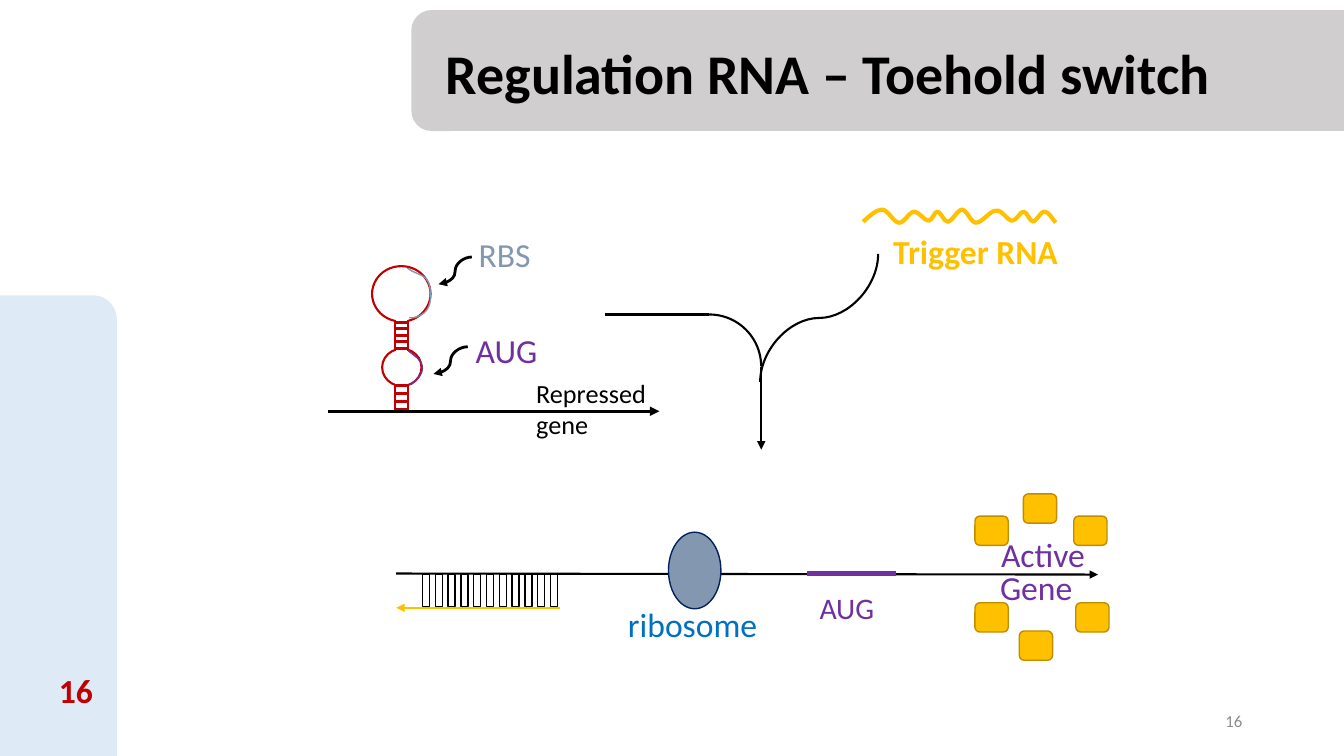
from lxml.etree import SubElement
from pptx import Presentation
from pptx.dml.color import RGBColor
from pptx.enum.shapes import MSO_CONNECTOR, MSO_SHAPE
from pptx.enum.text import MSO_ANCHOR, MSO_AUTO_SIZE, PP_ALIGN
from pptx.oxml.ns import qn
from pptx.util import Inches, Pt

COLORS = {
    "black": "000000", "white": "FFFFFF", "header": "D0CECE", "sidebar": "DEEBF7",
    "red": "C00000", "purple": "7030A0", "gold": "FFC000", "gold_edge": "BD8E00",
    "slate": "8497B0", "navy": "002060", "blue": "0070C0", "gray": "8C8C8C",
}
TITLE = "Regulation RNA – Toehold switch"
PAGE_NUMBER = "16"

# text, (left, top, width, height), format
LABELS = [
    ("Repressed\ngene", (5.22, 3.69, 1.83, 0.73), dict(size=18.7)),
    ("Trigger RNA", (8.76, 2.24, 1.85, 0.5), dict(color="gold", bold=True, wrap=False)),
    ("Active", (9.83, 5.25, 1.05, 0.5), dict(color="purple", wrap=False)),
    ("Gene", (9.82, 5.57, 1.03, 0.91), dict(color="purple")),
    ("ribosome", (6.13, 5.94, 1.65, 0.5), dict(color="blue")),
    ("AUG", (4.62, 3.22, 1.41, 0.5), dict(color="purple")),
    ("RBS", (4.65, 2.27, 1.5, 0.5), dict(color="slate")),
    ("AUG", (8.03, 5.8, 2.11, 0.46), dict(color="purple", size=21.3)),
]
HAIRPIN_LOOPS = [(3.69, 2.64, 0.58, 0.55), (3.79, 3.46, 0.39, 0.37)]
STEM_LEFT, STEM_WIDTH = 3.92, 0.13
STEM_TOPS = [3.17, 3.81]
STEM_LENGTH = 0.31
RUNGS = [(3.19, 0.065, 5), (3.82, 0.08, 4)]  # first top, step, count
PROTEINS = [(10.15, 4.9), (10.65, 5.12), (9.67, 5.12),
            (9.67, 5.98), (10.67, 5.98), (10.11, 6.26)]
COMB_LEFT, COMB_STEP, COMB_TEETH = 4.19, 0.127, 11
LABEL_POINTERS = [((4.68, 2.55), (4.35, 2.82)), ((4.64, 3.44), (4.3, 3.71))]

# Cubic chains: a start point, then two controls and an end point per piece
TRIGGER_WAVE = [
    (8.56, 2.2), (8.63, 2.14), (8.69, 2.08), (8.75, 2.08),
    (8.81, 2.08), (8.86, 2.21), (8.92, 2.21), (8.97, 2.21), (9.02, 2.1), (9.07, 2.1),
    (9.11, 2.1), (9.17, 2.19), (9.21, 2.19), (9.25, 2.19), (9.27, 2.09), (9.3, 2.1),
    (9.33, 2.1), (9.36, 2.2), (9.4, 2.2), (9.44, 2.2), (9.5, 2.08), (9.54, 2.08),
    (9.59, 2.08), (9.63, 2.21), (9.68, 2.21), (9.74, 2.21), (9.82, 2.09), (9.88, 2.09),
    (9.94, 2.08), (9.99, 2.19), (10.04, 2.19), (10.08, 2.19), (10.12, 2.1), (10.15, 2.1),
    (10.19, 2.1), (10.21, 2.2), (10.25, 2.2), (10.28, 2.19), (10.33, 2.09), (10.36, 2.1),
    (10.4, 2.1), (10.43, 2.16), (10.47, 2.21),
]
AUG_ON_LOOP = [(4.05, 3.48), (4.12, 3.54), (4.19, 3.57), (4.19, 3.66),
               (4.18, 3.76), (4.06, 3.82), (4.06, 3.82)]
RBS_ON_LOOP = [(4.04, 2.66), (4.16, 2.75), (4.27, 2.7), (4.27, 2.93),
               (4.28, 3.16), (4.06, 3.16), (4.06, 3.15)]

prs = Presentation()
prs.slide_width, prs.slide_height = Inches(13.33), Inches(7.5)
slide = prs.slides.add_slide(prs.slide_layouts[5])


def rgb(name):
    return RGBColor.from_string(COLORS[name])


def place(shape, box):
    shape.left, shape.top, shape.width, shape.height = map(Inches, box)


def write(holder, text, size=24, color="black", bold=False, wrap=True,
          align=PP_ALIGN.LEFT, anchor=MSO_ANCHOR.TOP):
    frame = holder.text_frame
    frame.text = text
    frame.word_wrap = wrap
    frame.auto_size = MSO_AUTO_SIZE.NONE
    frame.vertical_anchor = anchor
    for paragraph in frame.paragraphs:
        paragraph.alignment = align
        font = paragraph.runs[0].font
        font.name, font.size, font.bold = "Calibri", Pt(size), bold
        font.color.rgb = rgb(color)


def label(text, box, **text_format):
    write(slide.shapes.add_textbox(*map(Inches, box)), text, **text_format)


def paint(shape, fill=None, line=None, width=1):
    shape.shadow.inherit = False
    if fill:
        shape.fill.solid()
        shape.fill.fore_color.rgb = rgb(fill)
    else:
        shape.fill.background()
    if line:
        shape.line.color.rgb = rgb(line)
        shape.line.width = Pt(width)
    else:
        shape.line.fill.background()


def draw(kind, box, **look):
    paint(slide.shapes.add_shape(kind, *map(Inches, box)), **look)


def connect(start, end, color="black", width=1.5, arrow=False,
            kind=MSO_CONNECTOR.STRAIGHT):
    connector = slide.shapes.add_connector(kind, *map(Inches, (*start, *end)))
    connector.line.color.rgb = rgb(color)
    connector.line.width = Pt(width)
    if arrow:
        SubElement(connector.line._get_or_add_ln(), qn("a:tailEnd"), type="triangle")
    SubElement(connector._element.spPr, qn("a:effectLst"))
    return connector


def trace(chain, color, width):
    """Draw a chain of cubic curves as an open outline."""
    points = [(Inches(x), Inches(y)) for x, y in chain]
    builder = slide.shapes.build_freeform(*points[0])
    builder.add_line_segments(points[3::3], close=False)
    outline = builder.convert_to_shape()
    segments = list(outline._element.iter(qn("a:lnTo")))
    for i, segment in enumerate(segments):
        curve = SubElement(segment.getparent(), qn("a:cubicBezTo"))
        for x, y in points[3 * i + 1:3 * i + 4]:
            SubElement(curve, qn("a:pt"), x=str(x - outline.left), y=str(y - outline.top))
        segment.getparent().remove(segment)
    paint(outline, line=color, width=width)


# Frame of the slide
draw(MSO_SHAPE.ROUNDED_RECTANGLE, (4.08, 0.1, 9.52, 1.2), fill="header")
draw(MSO_SHAPE.ROUNDED_RECTANGLE, (-0.27, 2.93, 1.43, 4.84), fill="sidebar")
label(PAGE_NUMBER, (-1.98, 6.65, 3, 0.4), color="red", bold=True,
      align=PP_ALIGN.RIGHT, anchor=MSO_ANCHOR.MIDDLE)
label(PAGE_NUMBER, (9.42, 6.95, 3, 0.4), size=12, color="gray",
      align=PP_ALIGN.RIGHT, anchor=MSO_ANCHOR.MIDDLE)
title = slide.shapes.title
place(title, (4.32, 0.33, 8.21, 0.77))
write(title, TITLE, size=40, bold=True)
slide.shapes._spTree.append(title._element)

# Repressed gene with its hairpin
connect((3.62, 4.08), (5.21, 4.08), "red")
for loop in HAIRPIN_LOOPS:
    draw(MSO_SHAPE.OVAL, loop, fill="white", line="red", width=1.5)
draw(MSO_SHAPE.RECTANGLE, (STEM_LEFT, 3.04, STEM_WIDTH, 1), fill="white")
for top in STEM_TOPS:
    for x in (STEM_LEFT, STEM_LEFT + STEM_WIDTH):
        connect((x, top), (x, top + STEM_LENGTH), "red")
for first, step, count in RUNGS:
    for i in range(count):
        draw(MSO_SHAPE.RECTANGLE, (STEM_LEFT, first + i * step, STEM_WIDTH, 0.01),
             fill="red", line="red", width=1.5)
connect((4.04, 4.08), (6.54, 4.08), width=2.25, arrow=True)
draw(MSO_SHAPE.RECTANGLE, (3.66, 4.1, 0.66, 1.53), fill="white")
connect((4.05, 4.08), (3.25, 4.08), width=2.25)
for start, end in LABEL_POINTERS:
    connect(start, end, width=2, arrow=True, kind=MSO_CONNECTOR.CURVE)
trace(AUG_ON_LOOP, "purple", 1)
trace(RBS_ON_LOOP, "slate", 1)

# Gene and trigger merging
draw(MSO_SHAPE.ARC, (6.52, 3.12, 1.03, 1.03), line="black", width=1.5)
connect((7.03, 3.12), (6, 3.12))
connect((7.55, 3.64), (7.55, 4.46), arrow=True)
trigger_branch = connect((8.76, 3.74), (7.49, 2.57), kind=MSO_CONNECTOR.CURVE)
trigger_branch._element.spPr.find(qn("a:xfrm")).set("rot", str(90 * 60000))
trace(TRIGGER_WAVE, "gold", 3)

# Active gene
connect((3.93, 5.69), (10.89, 5.7), arrow=True)
draw(MSO_SHAPE.FLOWCHART_CONNECTOR, (6.63, 5.28, 0.52, 0.76), fill="slate", line="navy")
for left, top in PROTEINS:
    draw(MSO_SHAPE.ROUNDED_RECTANGLE, (left, top, 0.33, 0.29), fill="gold", line="gold_edge")
for tooth in range(COMB_TEETH):
    draw(MSO_SHAPE.RECTANGLE, (COMB_LEFT + tooth * COMB_STEP, 5.7, 0.07, 0.32), line="black")
connect((8, 5.69), (8.89, 5.69), "purple", 3)
connect((5.55, 6.03), (3.93, 6.03), "gold", arrow=True)

for text, box, text_format in LABELS:
    label(text, box, **text_format)

prs.save("out.pptx")
